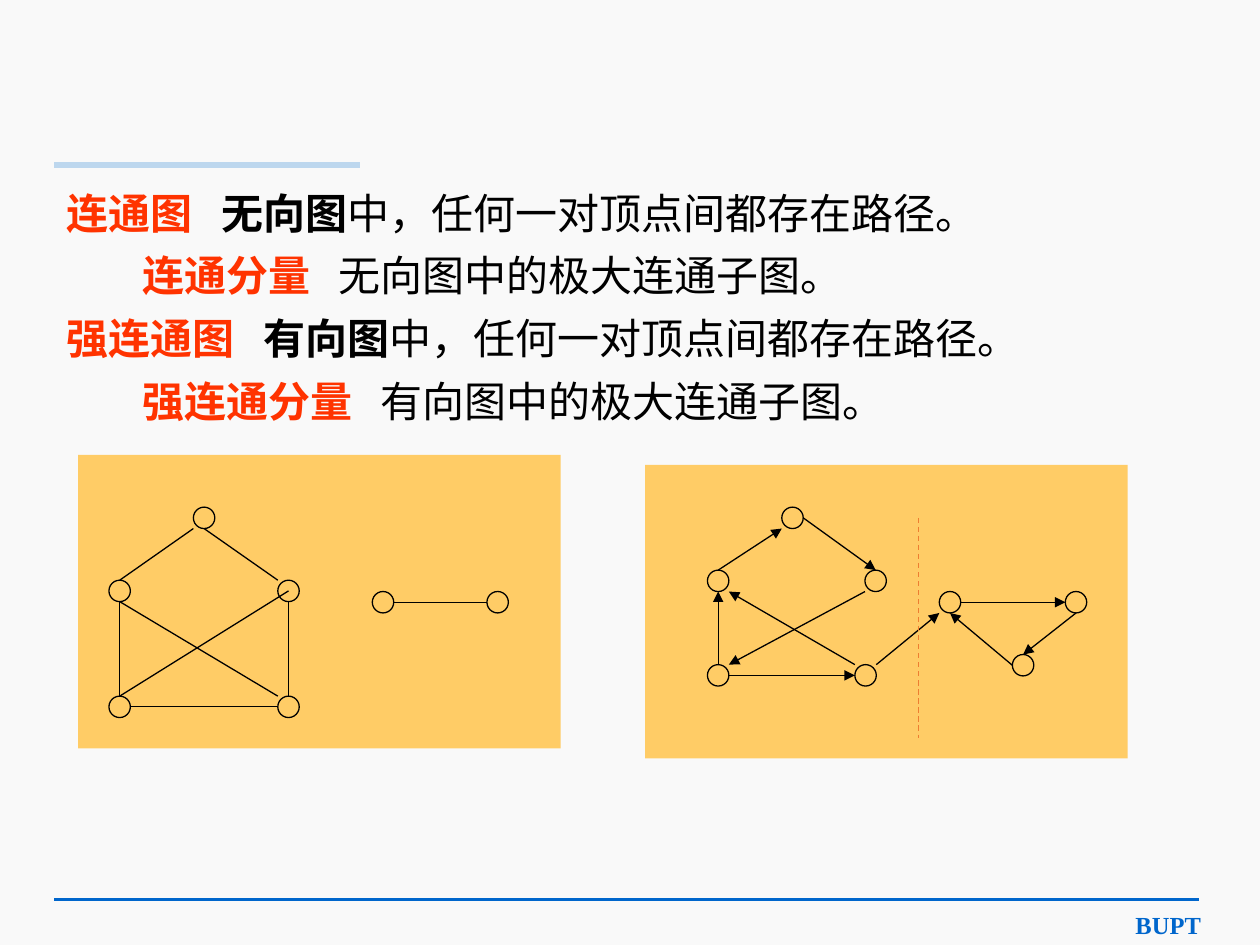
from lxml import etree
from pptx import Presentation
from pptx.dml.color import RGBColor
from pptx.enum.dml import MSO_LINE
from pptx.enum.shapes import MSO_CONNECTOR, MSO_SHAPE
from pptx.enum.text import MSO_ANCHOR, MSO_AUTO_SIZE, PP_ALIGN
from pptx.oxml.ns import qn
from pptx.util import Inches, Pt

COLORS = {
    "background": "F9F9F9", "blue": "0066CC", "pale_blue": "BDD7EE",
    "panel": "FFCC66", "term": "FF3300", "text": "000000", "cut": "ED7D31",
}
TEXT_FONT = "Noto Sans CJK SC"
FOOTER_FONT = "Times New Roman"
TEXT_SIZE = 24
TERM_GAP = 10.8  # extra width of the space after a term, in points
NODE_SIZE = 0.17

# Points on a node's bounding box, in half-sizes from its centre
SIDES = {
    "n": (0, -1), "s": (0, 1), "w": (-1, 0), "e": (1, 0), "center": (0, 0),
    "nw": (-1, -1), "ne": (1, -1), "sw": (-1, 1), "se": (1, 1),
}

# Indent, term, bold words, rest of the definition
DEFINITIONS = [
    (0, "连通图", "无向图", "中，任何一对顶点间都存在路径。"),
    (0.6, "连通分量", "", "无向图中的极大连通子图。"),
    (0, "强连通图", "有向图", "中，任何一对顶点间都存在路径。"),
    (0.6, "强连通分量", "", "有向图中的极大连通子图。"),
]

UNDIRECTED_NODES = {
    "top": (1.62, 4.11), "left": (0.95, 4.69), "right": (2.29, 4.69),
    "bottom_left": (0.95, 5.61), "bottom_right": (2.29, 5.61),
    "pair_left": (3.04, 4.78), "pair_right": (3.95, 4.78),
}
UNDIRECTED_EDGES = [
    ("left", "n", "top", "sw"), ("left", "s", "bottom_left", "n"),
    ("top", "s", "right", "nw"), ("bottom_left", "e", "bottom_right", "w"),
    ("bottom_right", "n", "right", "s"), ("bottom_left", "n", "right", "center"),
    ("left", "s", "bottom_right", "nw"), ("pair_left", "e", "pair_right", "w"),
]
DIRECTED_NODES = {
    "top": (6.29, 4.11), "left": (5.7, 4.61), "right": (6.95, 4.61),
    "bottom_left": (5.7, 5.36), "bottom_right": (6.87, 5.36),
    "triangle_left": (7.54, 4.78), "triangle_right": (8.54, 4.78),
    "triangle_bottom": (8.12, 5.28),
}
DIRECTED_EDGES = [
    ("top", "e", "right", "n"), ("bottom_left", "n", "left", "s"),
    ("bottom_left", "e", "bottom_right", "w"), ("left", "n", "top", "sw"),
    ("right", "sw", "bottom_left", "ne"), ("bottom_right", "nw", "left", "se"),
    ("bottom_right", "ne", "triangle_left", "sw"),
    ("triangle_left", "e", "triangle_right", "w"),
    ("triangle_right", "s", "triangle_bottom", "n"),
    ("triangle_bottom", "w", "triangle_left", "s"),
]


def rgb(name):
    return RGBColor.from_string(COLORS[name])


class SlideBuilder:
    def __init__(self, slide):
        self.slide = slide
        slide.background.fill.solid()
        slide.background.fill.fore_color.rgb = rgb("background")

    def style_run(self, run, color, size, font_name, bold):
        run.font.size = Pt(size)
        run.font.bold = bold
        run.font.color.rgb = rgb(color)
        run.font.name = font_name
        east_asian = etree.SubElement(run.font._element, qn("a:ea"))
        east_asian.set("typeface", font_name)

    def line(self, start, end, color="text", width=0.75, arrow=False, dash=False):
        points = [Inches(value) for value in (*start, *end)]
        connector = self.slide.shapes.add_connector(MSO_CONNECTOR.STRAIGHT, *points)
        connector.line.color.rgb = rgb(color)
        connector.line.width = Pt(width)
        if dash:
            connector.line.dash_style = MSO_LINE.DASH
        if arrow:
            tail = etree.SubElement(connector.line._get_or_add_ln(), qn("a:tailEnd"))
            tail.set("type", "triangle")
        etree.SubElement(connector._element.spPr, qn("a:effectLst"))

    def panel(self, left, top):
        shape = self.slide.shapes.add_shape(
            MSO_SHAPE.RECTANGLE, Inches(left), Inches(top), Inches(3.83), Inches(2.33))
        shape.shadow.inherit = False
        shape.fill.solid()
        shape.fill.fore_color.rgb = rgb("panel")
        shape.line.fill.background()

    def node(self, x, y):
        shape = self.slide.shapes.add_shape(
            MSO_SHAPE.OVAL, Inches(x - NODE_SIZE / 2), Inches(y - NODE_SIZE / 2),
            Inches(NODE_SIZE), Inches(NODE_SIZE))
        shape.shadow.inherit = False
        shape.fill.background()
        shape.line.color.rgb = rgb("text")
        shape.line.width = Pt(0.75)

    def graph(self, nodes, edges, directed):
        def point(name, side):
            return [center + offset * NODE_SIZE / 2
                    for center, offset in zip(nodes[name], SIDES[side])]

        for center in nodes.values():
            self.node(*center)
        for start, start_side, end, end_side in edges:
            self.line(point(start, start_side), point(end, end_side), arrow=directed)

    def definitions(self, body):
        body.left, body.top = Inches(0.43), Inches(1.48)
        body.width, body.height = Inches(8.83), Inches(2.34)
        frame = body.text_frame
        frame.word_wrap = True
        frame.auto_size = MSO_AUTO_SIZE.NONE
        frame.vertical_anchor = MSO_ANCHOR.TOP
        for index, (indent, term, strong, rest) in enumerate(DEFINITIONS):
            paragraph = frame.add_paragraph() if index else frame.paragraphs[0]
            paragraph.line_spacing = 0.9
            paragraph.space_before = Pt(10 if index else 0)
            # First-line indent without a bullet
            properties = paragraph._p.get_or_add_pPr()
            properties.set("marL", "0")
            properties.set("indent", str(Inches(indent)))
            etree.SubElement(properties, qn("a:buNone"))
            parts = [(term, "term", True), (" ", "term", True),
                     (strong, "text", True), (rest, "text", False)]
            for text, color, bold in parts:
                if not text:
                    continue
                run = paragraph.add_run()
                run.text = text
                self.style_run(run, color, TEXT_SIZE, TEXT_FONT, bold)
                if text == " ":
                    # Character spacing widens the gap after the term
                    run.font._element.set("spc", str(round(TERM_GAP * 100)))

    def footer(self, text):
        box = self.slide.shapes.add_textbox(
            Inches(8.62), Inches(7.17), Inches(1.01), Inches(0.34))
        box.text_frame.word_wrap = True
        box.text_frame.text = text
        paragraph = box.text_frame.paragraphs[0]
        paragraph.alignment = PP_ALIGN.RIGHT
        self.style_run(paragraph.runs[0], "blue", 14, FOOTER_FONT, True)


def main():
    presentation = Presentation()
    presentation.slide_width, presentation.slide_height = Inches(10), Inches(7.5)
    slide = presentation.slides.add_slide(presentation.slide_layouts[1])
    title = slide.shapes.title
    title._element.getparent().remove(title._element)
    builder = SlideBuilder(slide)

    # Page rules and footer
    builder.line((0.43, 7.14), (9.52, 7.14), "blue", 1.5)
    builder.footer("BUPT")
    builder.line((0.43, 1.31), (2.86, 1.31), "pale_blue", 3.5)

    # Definitions
    builder.definitions(slide.placeholders[1])

    # Graphs on their panels
    builder.panel(5.12, 3.69)
    builder.panel(0.62, 3.61)
    builder.graph(UNDIRECTED_NODES, UNDIRECTED_EDGES, directed=False)
    builder.graph(DIRECTED_NODES, DIRECTED_EDGES, directed=True)

    # Cut between the strongly connected components
    builder.line((7.29, 4.11), (7.29, 5.86), "cut", dash=True)

    presentation.save("out.pptx")


if __name__ == "__main__":
    main()
